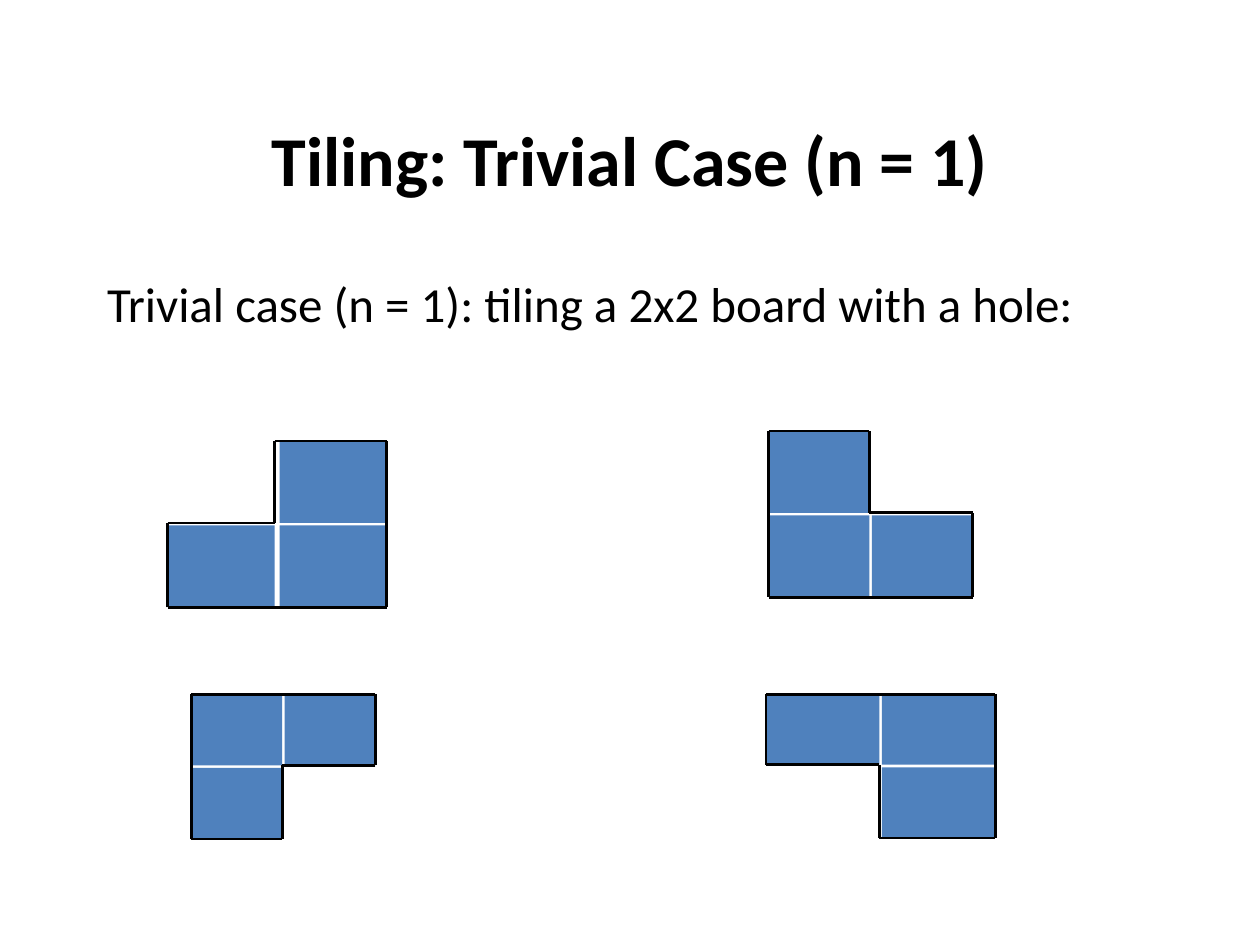
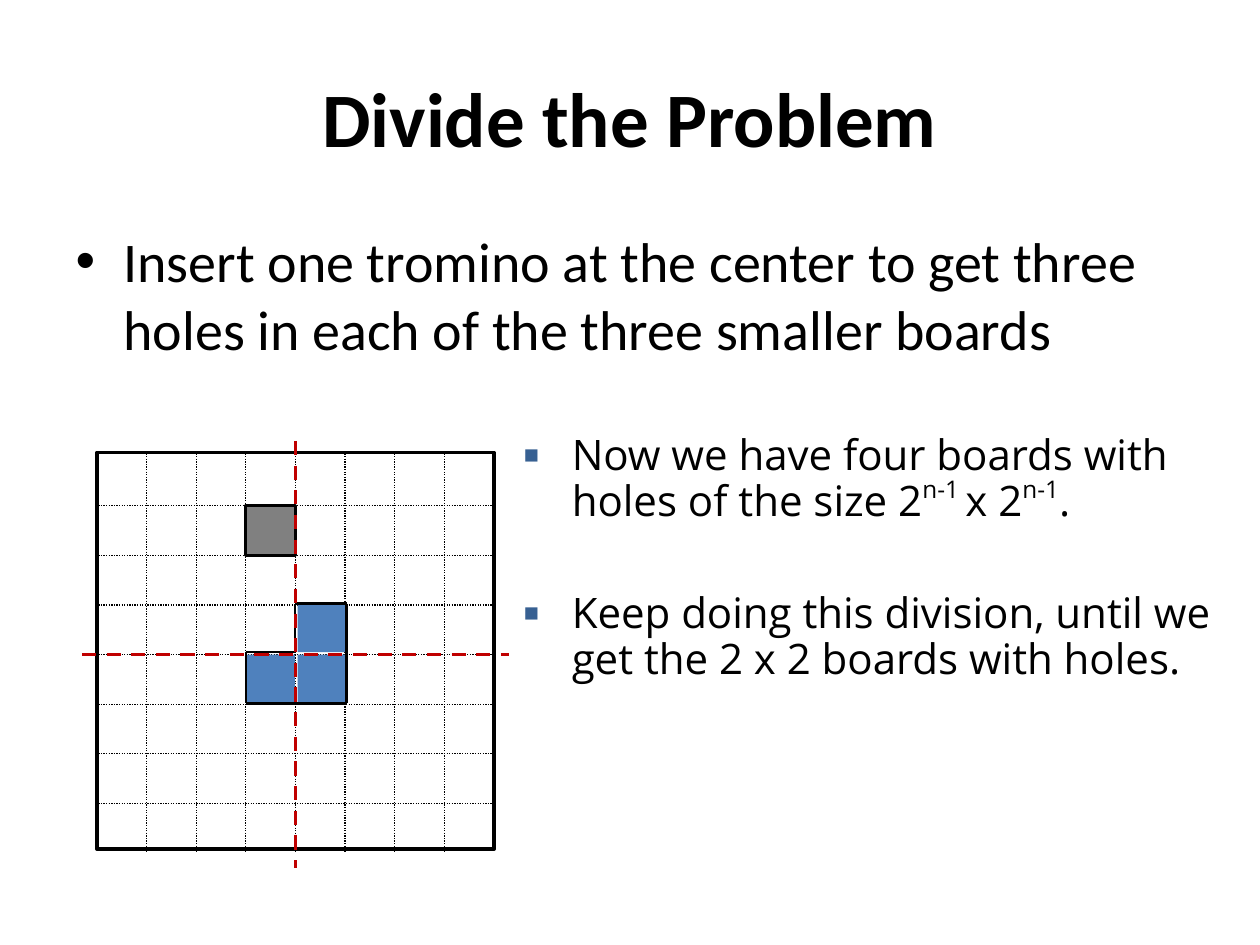
from dataclasses import dataclass

from lxml import etree
from pptx import Presentation
from pptx.dml.color import RGBColor
from pptx.enum import dml, shapes, text
from pptx.oxml import ns
from pptx.util import Inches, Pt


@dataclass(frozen=True)
class Theme:
    ink: RGBColor = RGBColor(0x00, 0x00, 0x00)
    tile: RGBColor = RGBColor(0x4F, 0x81, 0xBD)
    hole: RGBColor = RGBColor(0x80, 0x80, 0x80)
    divider: RGBColor = RGBColor(0xC0, 0x00, 0x00)
    marker: str = "376092"
    font: str = "Calibri"
    aside_font: str = "Open Sans"
    title_size: int = 44
    small_title_size: int = 40
    body_size: int = 32
    small_body_size: int = 28
    aside_size: int = 24
    aside_gap: int = 38
    outline: float = 1.5
    heavy: float = 2
    thin: float = 0.75
    superscript: str = "44000"


THEME = Theme()
HANGING = Inches(0.38)


def place(shape, box):
    shape.left, shape.top, shape.width, shape.height = (Inches(value) for value in box)


def add_run(paragraph, content, size, font=THEME.font, bold=False, raised=False):
    run = paragraph.add_run()
    run.text = content
    run.font.name = font
    run.font.size = Pt(size)
    run.font.bold = bold
    run.font.color.rgb = THEME.ink
    if raised:
        run._r.get_or_add_rPr().set("baseline", THEME.superscript)


def set_bullet(paragraph, character=None, color=None, percent=100):
    properties = paragraph._p.get_or_add_pPr()
    properties.set("marL", str(HANGING))
    properties.set("indent", str(-HANGING))
    if character is None:
        etree.SubElement(properties, ns.qn("a:buNone"))
        return
    if color:
        holder = etree.SubElement(properties, ns.qn("a:buClr"))
        etree.SubElement(holder, ns.qn("a:srgbClr"), val=color)
    etree.SubElement(properties, ns.qn("a:buSzPct"), val=str(percent * 1000))
    etree.SubElement(properties, ns.qn("a:buFont"), typeface="Arial")
    etree.SubElement(properties, ns.qn("a:buChar"), char=character)


def add_title(slide, box, content, size):
    title = slide.shapes.title
    place(title, box)
    title.text_frame.vertical_anchor = text.MSO_ANCHOR.MIDDLE
    paragraph = title.text_frame.paragraphs[0]
    paragraph.alignment = text.PP_ALIGN.CENTER
    add_run(paragraph, content, size, bold=True)


def add_body(slide, box, content, size, bullet=None):
    body = slide.placeholders[1]
    place(body, box)
    paragraph = body.text_frame.paragraphs[0]
    set_bullet(paragraph, bullet)
    add_run(paragraph, content, size)


def add_line(parent, start, end, color=THEME.ink, width=THEME.outline, dash=None):
    ends = [Inches(value) for value in (*start, *end)]
    line = parent.shapes.add_connector(shapes.MSO_CONNECTOR.STRAIGHT, *ends)
    line.line.color.rgb = color
    line.line.width = Pt(width)
    if dash:
        line.line.dash_style = dash
    etree.SubElement(line._element.spPr, ns.qn("a:effectLst"))


def add_square(parent, box, fill=None, outline=None):
    square = parent.shapes.add_shape(
        shapes.MSO_SHAPE.RECTANGLE, *(Inches(value) for value in box))
    square.shadow.inherit = False
    if fill:
        square.fill.solid()
        square.fill.fore_color.rgb = fill
    else:
        square.fill.background()
    if outline:
        square.line.color.rgb = THEME.ink
        square.line.width = Pt(outline)
    else:
        square.line.fill.background()


def add_tromino(slide, box, missing, gap=(0.02, 0.02)):
    left, top, width, height = box
    cell_width, cell_height = (width - gap[0]) / 2, (height - gap[1]) / 2
    group = slide.shapes.add_group_shape()
    for column in range(2):
        for row in range(2):
            if (column, row) != missing:
                add_square(group, (left + column * (cell_width + gap[0]),
                                   top + row * (cell_height + gap[1]),
                                   cell_width, cell_height), THEME.tile)

    column, row = missing
    open_x, far_x = left + column * width, left + (1 - column) * width
    open_y, far_y = top + row * height, top + (1 - row) * height
    middle_x, middle_y = left + cell_width, top + cell_height
    corners = [(far_x, far_y), (open_x, far_y), (open_x, middle_y),
               (middle_x, middle_y), (middle_x, open_y), (far_x, open_y)]
    for start, end in zip(corners, corners[1:] + corners[:1]):
        add_line(group, start, end)


def add_divided_board(slide, box, count=8):
    left, top, width, height = box
    step = width / count
    grid_top = top + 0.03
    group = slide.shapes.add_group_shape()
    add_square(group, box, outline=THEME.heavy)
    dotted = dict(width=THEME.thin, dash=dml.MSO_LINE.ROUND_DOT)
    for index in range(1, count):
        x, y = left + index * step, grid_top + index * step
        add_line(group, (x, top + 0.01), (x, top + height + 0.02), **dotted)
        add_line(group, (left - 0.01, y), (left + width, y), **dotted)

    add_square(slide, (left + 3 * step, grid_top + step, step, step),
               THEME.hole, THEME.outline)
    add_tromino(slide, (left + 3 * step, grid_top + 3 * step - 0.01, 0.8, 0.79), (0, 0))

    middle_x, middle_y = left + width / 2, grid_top + count / 2 * step
    reach = width / 2 + 0.12
    dashed = dict(color=THEME.divider, width=THEME.heavy, dash=dml.MSO_LINE.DASH)
    add_line(slide, (middle_x, middle_y - reach), (middle_x, middle_y + reach), **dashed)
    add_line(slide, (middle_x - reach, middle_y), (middle_x + reach, middle_y), **dashed)


def add_aside(slide, box, items):
    frame = slide.shapes.add_textbox(*(Inches(value) for value in box)).text_frame
    frame.word_wrap = True
    for index, pieces in enumerate(items):
        paragraph = frame.add_paragraph() if index else frame.paragraphs[0]
        paragraph.line_spacing = 0.9
        paragraph.space_before = Pt(THEME.aside_gap if index else 0)
        set_bullet(paragraph, "■", THEME.marker, 60)
        for content, raised in pieces:
            add_run(paragraph, content, THEME.aside_size, THEME.aside_font, raised=raised)


def build_trivial_case(slide):
    add_title(slide, (0.75, 0.83, 8.5, 0.85), "Tiling: Trivial Case (n = 1)",
              THEME.small_title_size)
    add_body(slide, (0.75, 2.12, 8.5, 0.7),
             "Trivial case (n = 1): tiling a 2x2 board with a hole:",
             THEME.small_body_size)
    add_tromino(slide, (6.1, 3.42, 1.62, 1.32), (1, 0))
    add_tromino(slide, (1.33, 3.5, 1.74, 1.32), (0, 0), (0.04, 0.02))
    add_tromino(slide, (1.52, 5.51, 1.46, 1.15), (1, 1))
    add_tromino(slide, (6.08, 5.51, 1.82, 1.14), (0, 1))


def build_division(slide):
    add_title(slide, (0.5, 0.3, 9, 1.25), "Divide the Problem", THEME.title_size)
    add_body(slide, (0.5, 1.75, 9, 4.95),
             "Insert one tromino at the center to get three holes "
             "in each of the three smaller boards", THEME.body_size, "•")
    add_divided_board(slide, (0.77, 3.59, 3.15, 3.15))
    add_aside(slide, (4.06, 3.4, 5.9, 2.86), [
        [("Now we have four boards with holes of the size 2", False), ("n-1 ", True),
         ("x 2", False), ("n-1", True), (".", False)],
        [("Keep doing this division, until we get the 2 x 2 boards with holes.", False)],
    ])


presentation = Presentation()
presentation.slide_width, presentation.slide_height = Inches(10), Inches(7.5)
for build in (build_trivial_case, build_division):
    build(presentation.slides.add_slide(presentation.slide_layouts[1]))
presentation.save("out.pptx")
